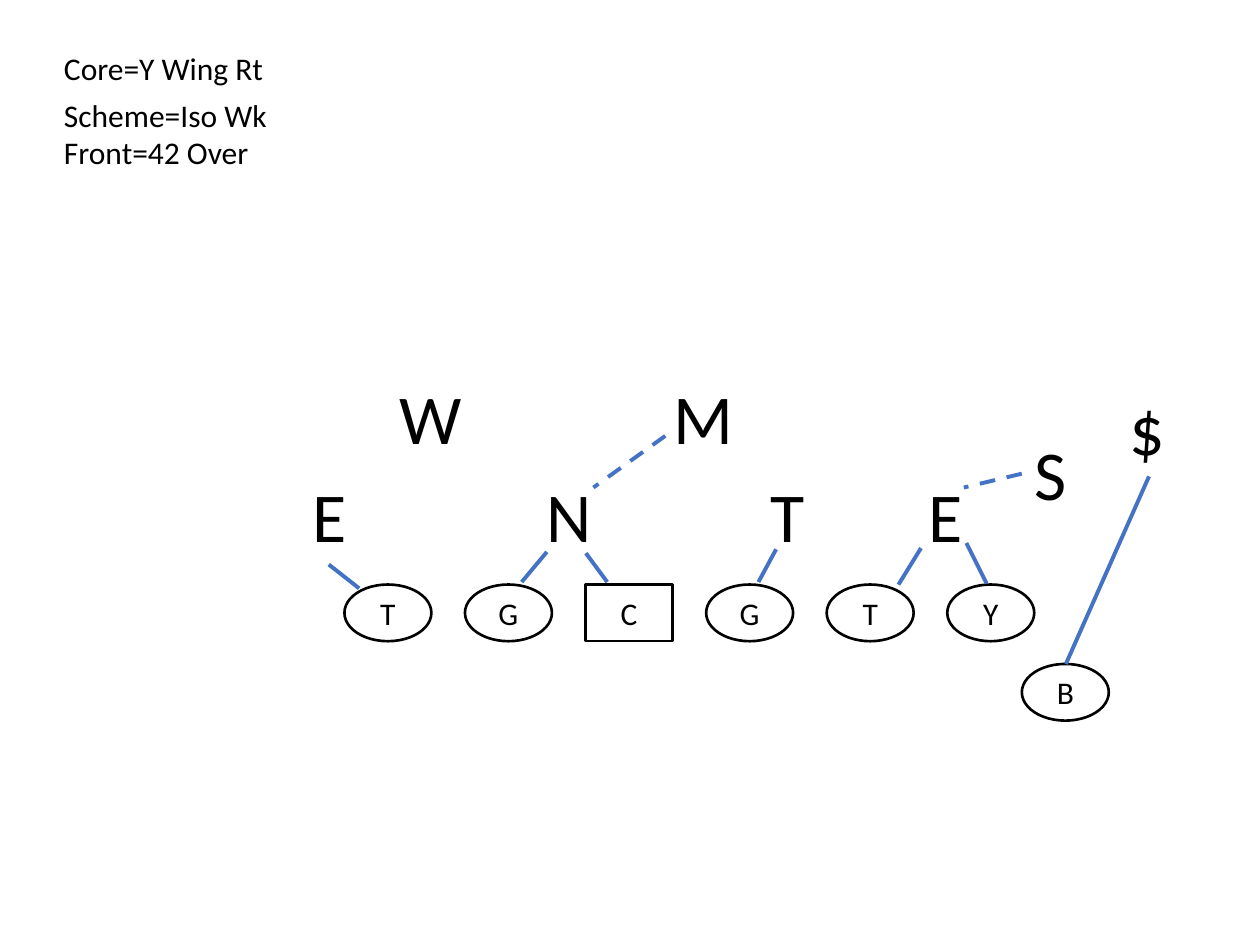
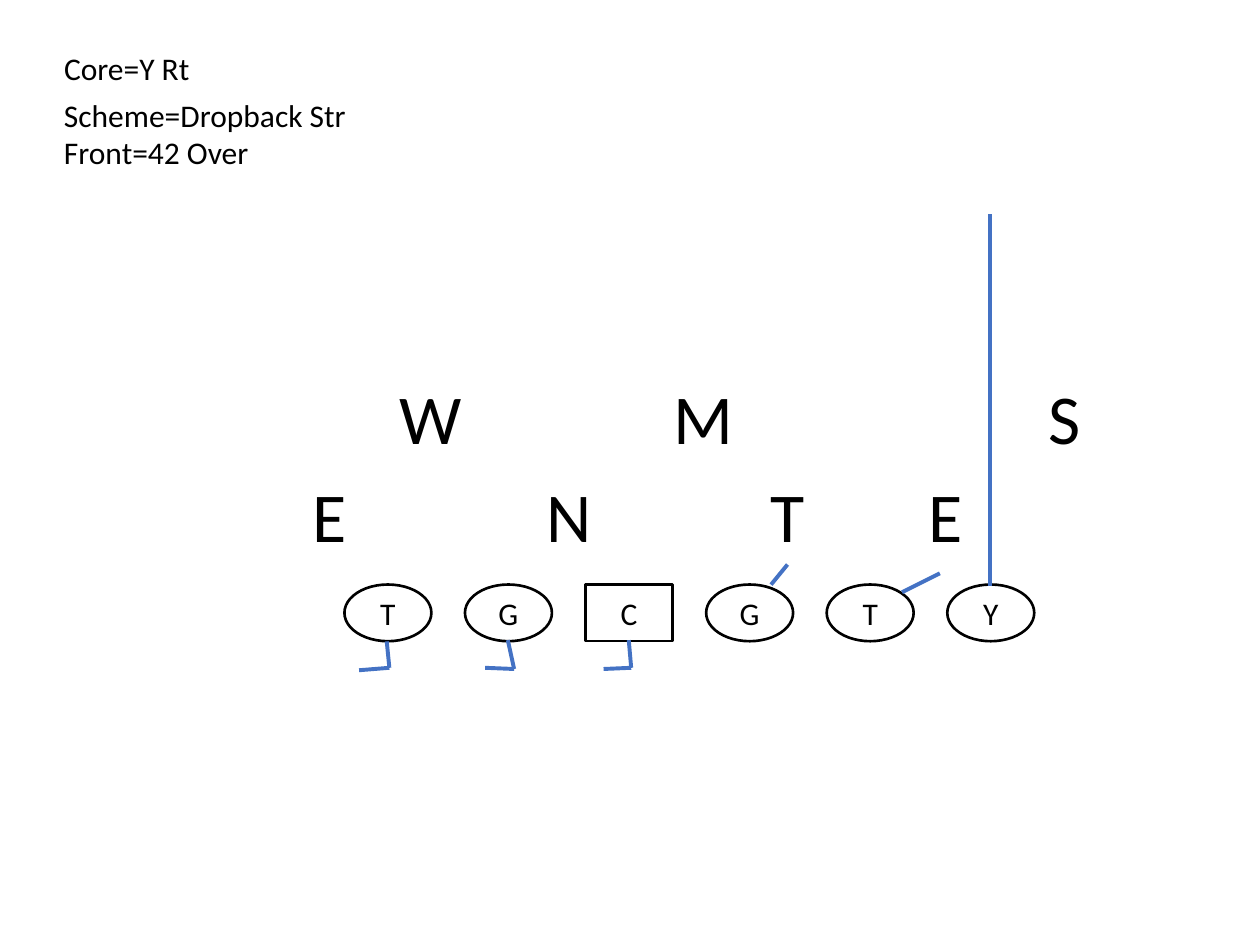
from itertools import pairwise

from lxml import etree
from pptx import Presentation
from pptx.dml.color import RGBColor
from pptx.enum.dml import MSO_LINE
from pptx.enum.shapes import MSO_CONNECTOR, MSO_SHAPE
from pptx.enum.text import MSO_ANCHOR, MSO_AUTO_SIZE, PP_ALIGN
from pptx.oxml.ns import qn
from pptx.util import Pt

OVAL, SQUARE = MSO_SHAPE.OVAL, MSO_SHAPE.RECTANGLE
STRAIGHT, DASH = MSO_CONNECTOR.STRAIGHT, MSO_LINE.DASH
CENTER, MIDDLE = PP_ALIGN.CENTER, MSO_ANCHOR.MIDDLE
GROW = MSO_AUTO_SIZE.SHAPE_TO_FIT_TEXT
COLORS = {"ink": "000000", "paper": "FFFFFF", "block": "4472C4"}
FONT = "Calibri"
SMALL, LARGE = 18, 40
LINE_LEFT, LINE_TOP, LINE_PITCH = 196.8, 334, 68.9
PLAYER_WIDTH, PLAYER_HEIGHT = 49.7, 32.4
BACKER_TOP, FRONT_TOP = 210.2, 266.4
CAPTION_LEFT, CAPTION_TOPS = 29.5, (24.5, 51.1, 72.7)
DEFENDERS = [
    ("N", 305.3, FRONT_TOP, 40.3),
    ("T", 433.4, FRONT_TOP, 34.6),
    ("E", 523.4, FRONT_TOP, 34.6),
    ("E", 171.4, FRONT_TOP, 34.6),
    ("W", 221, BACKER_TOP, 50.4),
    ("M", 378, BACKER_TOP, 50.4),
]


def color(name):
    """Return the named colour."""
    return RGBColor.from_string(COLORS[name])


class Playbook:
    """Holds the deck, its style and the current page."""

    def __init__(self):
        """Start an empty deck."""
        self.deck = Presentation()
        self.deck.slide_width, self.deck.slide_height = Pt(720), Pt(540)
        self.page = None

    def add_span(self, box, text, size):
        """Put one styled run into a box and return its paragraph."""
        para = box.text_frame.paragraphs[0]
        span = para.add_run()
        span.text = text
        span.font.name, span.font.size = FONT, Pt(size)
        span.font.color.rgb = color("ink")
        return para

    def label(self, text, left, top, width, size=LARGE):
        """Add an unwrapped text box."""
        height = 55.7 if size == LARGE else 29.1
        box = self.page.shapes.add_textbox(Pt(left), Pt(top), Pt(width), Pt(height))
        box.text_frame.word_wrap = False
        box.text_frame.auto_size = GROW
        self.add_span(box, text, size)

    def player(self, text, left, top, outline=OVAL):
        """Add an offensive player."""
        box = self.page.shapes.add_shape(
            outline, Pt(left), Pt(top), Pt(PLAYER_WIDTH), Pt(PLAYER_HEIGHT))
        box.shadow.inherit = False
        box.fill.solid()
        box.fill.fore_color.rgb = color("paper")
        box.line.color.rgb = color("ink")
        box.line.width = Pt(1.5)
        box.text_frame.vertical_anchor = MIDDLE
        self.add_span(box, text, SMALL).alignment = CENTER

    def route(self, *points, dashed=False):
        """Join the points with straight lines."""
        for start, end in pairwise(points):
            line = self.page.shapes.add_connector(STRAIGHT, *map(Pt, start + end))
            line.line.color.rgb = color("block")
            line.line.width = Pt(2.25)
            if dashed:
                line.line.dash_style = DASH
            etree.SubElement(line._element.spPr, qn("a:effectLst"))

    def play(self, captions):
        """Add a page with captions, the offensive line and the common front."""
        self.page = self.deck.slides.add_slide(self.deck.slide_layouts[6])
        for (text, width), top in zip(captions, CAPTION_TOPS):
            self.label(text, CAPTION_LEFT, top, width, SMALL)
        for index, name in enumerate("TGCGTY"):
            self.player(name, LINE_LEFT + index * LINE_PITCH, LINE_TOP,
                        SQUARE if name == "C" else OVAL)
        for defender in DEFENDERS:
            self.label(*defender)


book = Playbook()

book.play([("Core=Y Wing Rt", 129.6), ("Scheme=Iso Wk", 131.8), ("Front=42 Over", 125.3)])
book.player("B", 583.9, 379.4)
book.label("S", 583.9, 242.6, 34.6)
book.label("$", 638.6, 216.7, 35.3)
for start, end in [
    ((187.9, 322.6), (205.2, 336.2)),
    ((312.5, 315.4), (298.1, 332.6)),
    ((334.8, 316.1), (347, 332.6)),
    ((443.5, 313.9), (433.4, 332.6)),
    ((526.3, 313.2), (513.4, 334.1)),
    ((552.2, 310.3), (563.8, 333.4)),
    ((609.1, 379.4), (656.6, 272.2)),
]:
    book.route(start, end)
book.route((380.2, 249.1), (339.1, 278.6), dashed=True)
book.route((583.9, 270.7), (550.8, 278.6), dashed=True)

book.play([("Core=Y Rt", 87.1), ("Scheme=Dropback Str", 177.1), ("Front=42 Over", 125.3)])
book.label("S", 591.8, BACKER_TOP, 34.6)
book.route((565.9, 334.8), (565.9, 122.4))
book.route((515.5, 338.4), (537.1, 327.6))
book.route((450, 322.6), (440.6, 334.1))
book.route((359.3, 365.8), (360.7, 381.6), (344.9, 382.3))
book.route((290.2, 365.8), (293.8, 382.3), (277.2, 381.6))
book.route((221, 366.5), (222.5, 381.6), (205.2, 383))

book.deck.save("out.pptx")
